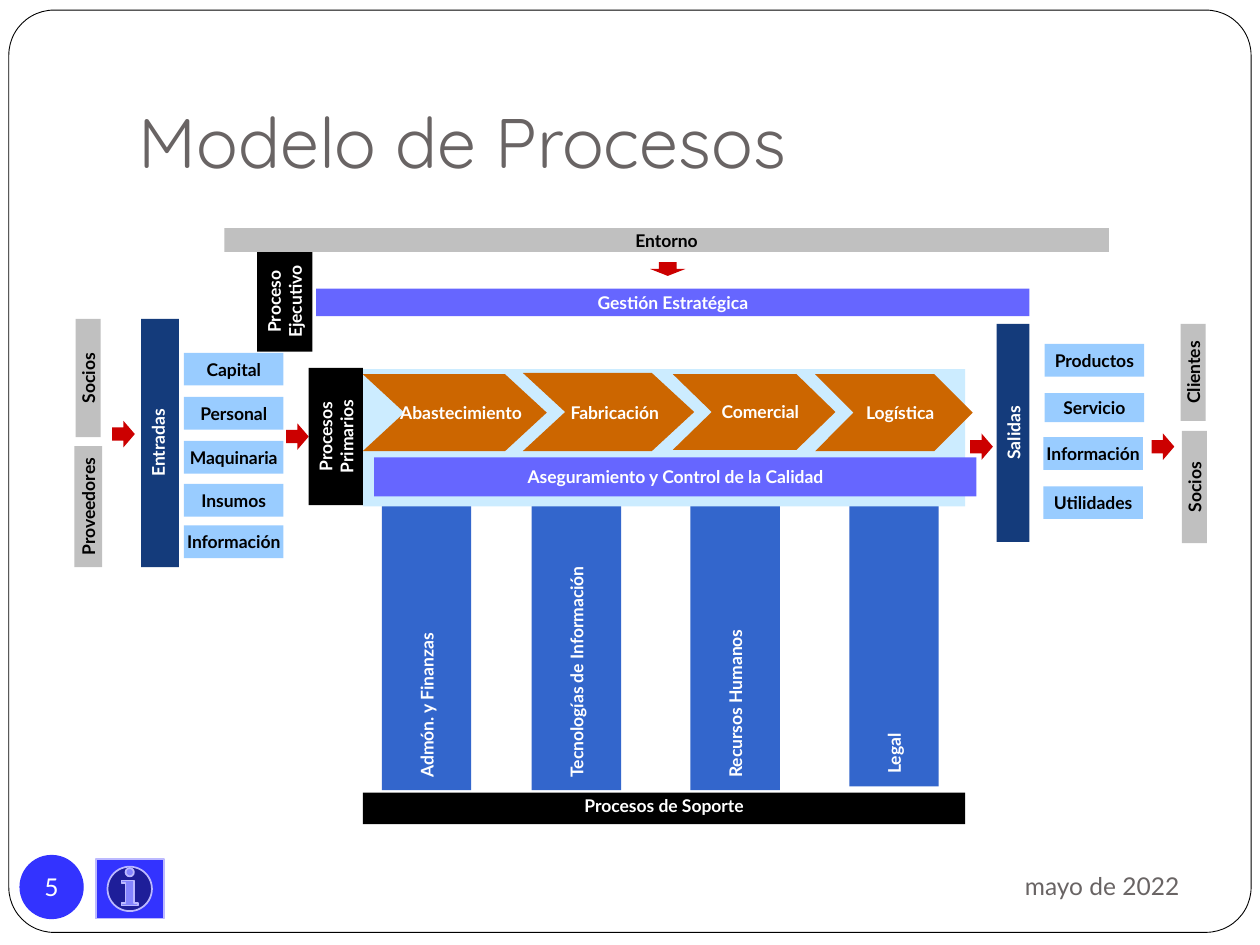
from dataclasses import dataclass
from pptx import Presentation
from pptx.dml import color
from pptx.enum import shapes, text
from pptx.util import Inches, Pt

GEO = shapes.MSO_SHAPE
SIDE = text.PP_ALIGN
ANCHOR = text.MSO_ANCHOR


@dataclass(frozen=True)
class Theme:
    black: str = "000000"
    white: str = "FFFFFF"
    gray: str = "C0C0C0"
    ink: str = "696464"
    navy: str = "143B7B"
    blue: str = "3366CC"
    sky: str = "99CCFF"
    pale: str = "CCECFF"
    violet: str = "6666FF"
    badge: str = "3333FF"
    rim: str = "BCB9FF"
    orange: str = "CC6600"
    red: str = "CC0000"
    head: str = "Quicksand"
    body: str = "Lato"
    big: int = 40
    mid: int = 14
    small: int = 10


T = Theme()


def rgb(code):
    return color.RGBColor.from_string(code)


def put(shape, words, size=T.small, font=T.body, ink=T.white, bold=True,
        align=SIDE.CENTER, anchor=ANCHOR.MIDDLE, wrap=False,
        pad=(0.1, 0.05, 0.1, 0.05), lead=None):
    frame = shape.text_frame
    frame.auto_size = text.MSO_AUTO_SIZE.NONE
    frame.word_wrap = wrap
    frame.vertical_anchor = anchor
    (frame.margin_left, frame.margin_top,
     frame.margin_right, frame.margin_bottom) = map(Inches, pad)
    para = frame.paragraphs[0]
    para.alignment = align
    if lead:
        para.line_spacing = lead
    run = para.add_run()
    run.text = words
    run.font.size = Pt(size)
    run.font.name = font
    run.font.bold = bold
    run.font.color.rgb = rgb(ink)


def draw(slide, box, fill=None, kind=GEO.RECTANGLE, line=None, width=1, adj=()):
    shape = slide.shapes.add_shape(kind, *map(Inches, box))
    shape.shadow.inherit = False
    if fill:
        shape.fill.solid()
        shape.fill.fore_color.rgb = rgb(fill)
    else:
        shape.fill.background()
    if line:
        shape.line.color.rgb = rgb(line)
        shape.line.width = Pt(width)
    else:
        shape.line.fill.background()
    for i, value in enumerate(adj):
        shape.adjustments[i] = value
    return shape


def label(slide, box, words, fill, **style):
    put(draw(slide, box, fill), words, **style)


def tower(slide, box, words, fill, **style):
    x, y, w, h = box
    turned = (x + (w - h) / 2, y + (h - w) / 2, h, w)
    shape = draw(slide, turned, fill)
    shape.rotation = 270
    put(shape, words, **style)


def frame(slide):
    draw(slide, (0.07, 0.08, 9.86, 7.32), kind=GEO.ROUNDED_RECTANGLE,
         line=T.black, width=0.5, adj=(0.049,))
    title = slide.shapes.title
    title.left, title.top, title.width, title.height = map(
        Inches, (1, 0.3, 8.5, 1.25))
    put(title, "Modelo de Procesos", size=T.big, font=T.head, ink=T.ink,
        bold=False, align=SIDE.LEFT, anchor=ANCHOR.BOTTOM, wrap=True,
        pad=(0.1, 0.05, 0.1, 0.1))
    date = slide.shapes.add_textbox(*map(Inches, (6.75, 6.77, 2.71, 0.52)))
    put(date, "mayo de 2022", size=T.mid, ink=T.ink, bold=False,
        align=SIDE.RIGHT, wrap=True)
    badge = draw(slide, (0.16, 6.79, 0.5, 0.5), T.badge, GEO.OVAL, T.badge, 0.75)
    put(badge, "5", size=T.mid, bold=False, pad=(0, 0, 0, 0))
    draw(slide, (0.76, 6.82, 0.54, 0.47), T.badge,
         GEO.ACTION_BUTTON_INFORMATION, T.rim)


def support(slide):
    for x, high, words in ((3.03, 2.98, "Admón. y Finanzas"),
                           (4.22, 2.98, "Tecnologías de Información"),
                           (5.48, 2.98, "Recursos Humanos"),
                           (6.74, 2.95, "Legal")):
        tower(slide, (x, 3.29, 0.71, high), words, T.blue, align=SIDE.LEFT)
    label(slide, (2.88, 6.29, 4.78, 0.25), "Procesos de Soporte", T.black,
          wrap=True, lead=0.65)


def core(slide):
    draw(slide, (2.88, 2.93, 4.78, 1.09), T.pale)
    label(slide, (2.97, 3.63, 4.78, 0.31),
          "Aseguramiento y Control de la Calidad", T.violet)
    for x, y, w, h, bend, words in (
            (2.88, 2.97, 1.46, 0.61, 0.542, "Abastecimiento"),
            (4.15, 2.96, 1.36, 0.62, 0.542, "Fabricación"),
            (5.34, 2.97, 1.29, 0.6, 0.514, "Comercial"),
            (6.47, 2.97, 1.25, 0.61, 0.499, "Logística")):
        step = draw(slide, (x, y, w, h), T.orange, GEO.CHEVRON, adj=(bend,))
        put(step, words, pad=(0.1, 0.05, 0, 0.05))
    label(slide, (1.78, 1.81, 7.02, 0.19), "Entorno", T.gray, ink=T.black)
    label(slide, (2.51, 2.29, 5.66, 0.22), "Gestión Estratégica", T.violet)


def flow(slide):
    for x, y, h, words in ((1.46, 2.8, 0.26, "Capital"),
                           (1.46, 3.15, 0.26, "Personal"),
                           (1.46, 3.5, 0.26, "Maquinaria"),
                           (1.46, 3.84, 0.26, "Insumos"),
                           (1.46, 4.17, 0.26, "Información"),
                           (8.29, 2.73, 0.26, "Productos"),
                           (8.29, 3.12, 0.23, "Servicio"),
                           (8.28, 3.47, 0.26, "Información"),
                           (8.28, 3.86, 0.26, "Utilidades")):
        label(slide, (x, y, 0.79, h), words, T.sky, ink=T.black)
    for box, words in (((0.6, 2.53, 0.2, 0.94), "Socios"),
                       ((0.59, 3.54, 0.22, 0.96), "Proveedores"),
                       ((9.37, 2.57, 0.2, 0.77), "Clientes"),
                       ((9.38, 3.42, 0.2, 0.89), "Socios")):
        tower(slide, box, words, T.gray, ink=T.black)
    for box, words, fill in (
            ((1.12, 2.53, 0.3, 1.97), "Entradas", T.navy),
            ((7.91, 2.57, 0.26, 1.73), "Salidas", T.navy),
            ((2.45, 2.92, 0.43, 1.09), "Procesos Primarios", T.black),
            ((2.04, 2.0, 0.44, 0.79), "Proceso Ejecutivo", T.black)):
        tower(slide, box, words, fill, anchor=ANCHOR.TOP, wrap=True)


def arrows(slide):
    for x, y in ((0.89, 3.34), (2.27, 3.36), (7.7, 3.44), (9.14, 3.44)):
        draw(slide, (x, y, 0.18, 0.21), T.red, GEO.RIGHT_ARROW)
    draw(slide, (5.16, 2.08, 0.28, 0.11), T.red, GEO.DOWN_ARROW)


def main():
    deck = Presentation()
    deck.slide_width, deck.slide_height = Inches(10), Inches(7.5)
    slide = deck.slides.add_slide(deck.slide_layouts[5])
    frame(slide)
    support(slide)
    arrows(slide)
    core(slide)
    flow(slide)
    deck.save("out.pptx")


if __name__ == "__main__":
    main()
